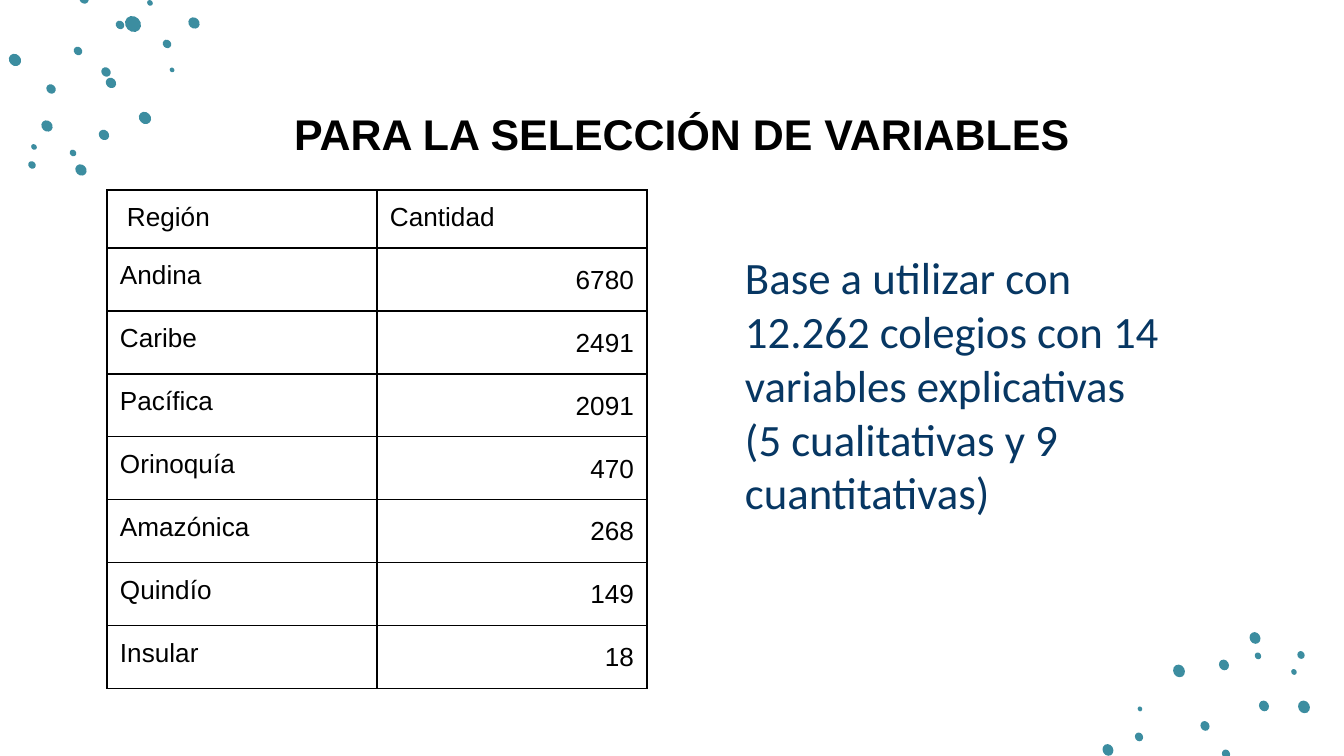
"""Builds a slide with a table of schools by region and a note on the data set."""
import pptx
import pptx.dml.color
import pptx.enum.shapes
import pptx.enum.text
import pptx.oxml
import pptx.oxml.ns
import pptx.util

TITLE = "PARA LA SELECCIÓN DE VARIABLES"
NOTE = [
    "Base a utilizar con 12.262 colegios con 14 variables explicativas",
    "(5 cualitativas y 9 cuantitativas)",
]
REGIONS = [
    ("Región", "Cantidad"),
    ("Andina", "6780"),
    ("Caribe", "2491"),
    ("Pacífica", "2091"),
    ("Orinoquía", "470"),
    ("Amazónica", "268"),
    ("Quindío", "149"),
    ("Insular", "18"),
]
# Each speck is centre x, centre y, length.
SPECKS = {
    45: [
        (133, 24, 17), (150, 3, 6), (84, -1, 10), (120, 25, 9), (78, 51, 9),
        (106, 72, 10), (111, 83, 11), (51, 89, 10), (104, 135, 11),
        (47, 126, 12), (73, 153, 7), (81, 170, 12), (34, 147, 6),
        (32, 165, 8), (145, 118, 13), (194, 23, 12), (167, 44, 9),
        (172, 70, 5), (15, 60, 13),
    ],
    60.3: [
        (1226, 754, 9), (1205, 726, 10), (1264, 706, 11), (1224, 665, 11),
        (1258, 656, 7), (1255, 638, 12), (1294, 672, 6), (1301, 655, 8),
        (1179, 671, 13), (1108, 750, 12), (1139, 737, 9), (1140, 709, 5),
        (1304, 707, 13),
    ],
}
SPECK_RATIO = 0.88
BLACK, NAVY, TEAL = "000000", "073763", "3C8DA0"
INSET, HEADER_INDENT = 13, 20
HEADER_HEIGHT, ROW_HEIGHT, COLUMN_WIDTH = 58, 63, 270


def px(length):
    return pptx.util.Emu(round(length * 914400 / 134.4))


def color(value):
    return pptx.dml.color.RGBColor.from_string(value)


def write(paragraph, text, font, size, value, bold=False):
    run = paragraph.add_run()
    run.text = text
    run.font.name = font
    run.font.size = pptx.util.Pt(size)
    run.font.bold = bold
    run.font.color.rgb = color(value)


def set_frame(frame, anchor):
    frame.word_wrap = True
    frame.auto_size = pptx.enum.text.MSO_AUTO_SIZE.NONE
    frame.vertical_anchor = anchor
    frame.margin_left = frame.margin_right = px(INSET)
    frame.margin_top = frame.margin_bottom = px(INSET)


def add_border(cell):
    properties = cell._tc.get_or_add_tcPr()
    for position, side in enumerate(("lnL", "lnR", "lnT", "lnB")):
        properties.insert(position, pptx.oxml.parse_xml(
            f'<a:{side} {pptx.oxml.ns.nsdecls("a")} w="9525"><a:solidFill>'
            f'<a:srgbClr val="{BLACK}"/></a:solidFill></a:{side}>'))


def add_specks(slide):
    for angle, specks in SPECKS.items():
        for x, y, length in specks:
            breadth = length * SPECK_RATIO
            speck = slide.shapes.add_shape(
                pptx.enum.shapes.MSO_SHAPE.OVAL, px(x - length / 2),
                px(y - breadth / 2), px(length), px(breadth))
            speck.rotation = angle
            speck.shadow.inherit = False
            speck.fill.solid()
            speck.fill.fore_color.rgb = color(TEAL)
            speck.line.fill.background()


def add_regions(slide):
    heights = [HEADER_HEIGHT] + [ROW_HEIGHT] * (len(REGIONS) - 1)
    table = slide.shapes.add_table(
        len(REGIONS), 2, px(107), px(190),
        px(2 * COLUMN_WIDTH), px(sum(heights))).table
    table.first_row = table.horz_banding = False
    for column in table.columns:
        column.width = px(COLUMN_WIDTH)
    for r, (height, values) in enumerate(zip(heights, REGIONS)):
        table.rows[r].height = px(height)
        for c, value in enumerate(values):
            cell = table.cell(r, c)
            cell.fill.background()
            cell.margin_left = px(HEADER_INDENT if r == c == 0 else INSET)
            cell.margin_right = px(INSET)
            cell.margin_top = cell.margin_bottom = px(INSET)
            add_border(cell)
            paragraph = cell.text_frame.paragraphs[0]
            if r and c:
                paragraph.alignment = pptx.enum.text.PP_ALIGN.RIGHT
                paragraph.line_spacing = 1.15
            write(paragraph, value, "Arial", 14, BLACK)


def add_title(slide):
    title = slide.shapes.title
    title.left, title.top, title.width, title.height = map(px, (253, 93, 859, 79))
    set_frame(title.text_frame, pptx.enum.text.MSO_ANCHOR.BOTTOM)
    paragraph = title.text_frame.paragraphs[0]
    paragraph.alignment = pptx.enum.text.PP_ALIGN.CENTER
    write(paragraph, TITLE, "Arial", 23, BLACK, bold=True)


def add_note(slide):
    frame = slide.shapes.add_textbox(*map(px, (732, 237, 452, 353))).text_frame
    set_frame(frame, pptx.enum.text.MSO_ANCHOR.TOP)
    for i, text in enumerate(NOTE):
        paragraph = frame.add_paragraph() if i else frame.paragraphs[0]
        write(paragraph, text, "Calibri", 24, NAVY)


def main():
    deck = pptx.Presentation()
    deck.slide_width, deck.slide_height = px(1344), px(756)
    slide = deck.slides.add_slide(deck.slide_layouts[5])
    add_specks(slide)
    add_regions(slide)
    add_title(slide)
    add_note(slide)
    deck.save("out.pptx")


if __name__ == "__main__":
    main()
